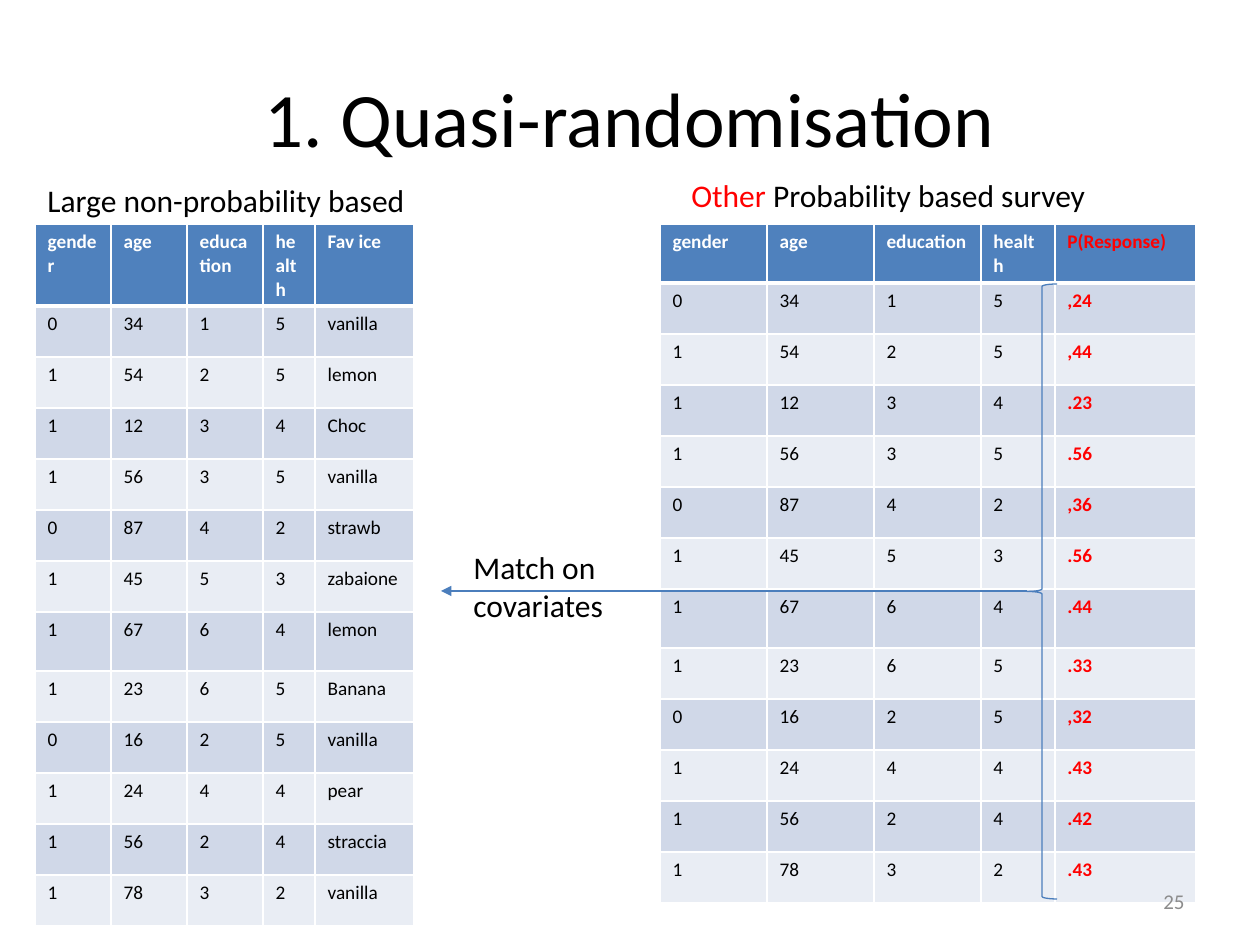
from lxml import etree
from pptx import Presentation
from pptx.dml.color import RGBColor
from pptx.enum.shapes import MSO_CONNECTOR, MSO_SHAPE
from pptx.enum.text import MSO_ANCHOR, PP_ALIGN
from pptx.oxml.ns import qn
from pptx.util import Emu, Pt

TOP, MIDDLE = MSO_ANCHOR.TOP, MSO_ANCHOR.MIDDLE
LEFT, CENTER, RIGHT = PP_ALIGN.LEFT, PP_ALIGN.CENTER, PP_ALIGN.RIGHT
STRAIGHT, LEFT_BRACE = MSO_CONNECTOR.STRAIGHT, MSO_SHAPE.LEFT_BRACE

BLACK = RGBColor(0x00, 0x00, 0x00)
WHITE = RGBColor(0xFF, 0xFF, 0xFF)
RED = RGBColor(0xFF, 0x00, 0x00)
GREY = RGBColor(0x8C, 0x8C, 0x8C)
HEADER = RGBColor(0x4F, 0x81, 0xBD)
BANDS = (RGBColor(0xD0, 0xD8, 0xE8), RGBColor(0xE9, 0xED, 0xF4))
LINE = RGBColor(0x4B, 0x7E, 0xBC)

FONT = "Calibri"
EMU_PER_PX = 914400 // 126
ROW_H, TALL_ROW_H, TALL_ROW = 51, 59, 7

# Both tables share the covariates; only the last column differs
COVARIATES = ["gender", "age", "education", "health"]
RECORDS = [
    (0, 34, 1, 5), (1, 54, 2, 5), (1, 12, 3, 4), (1, 56, 3, 5),
    (0, 87, 4, 2), (1, 45, 5, 3), (1, 67, 6, 4), (1, 23, 6, 5),
    (0, 16, 2, 5), (1, 24, 4, 4), (1, 56, 2, 4), (1, 78, 3, 2),
]
FLAVOURS = ["vanilla", "lemon", "Choc", "vanilla", "strawb", "zabaione",
            "lemon", "Banana", "vanilla", "pear", "straccia", "vanilla"]
RESPONSES = [",24", ",44", ".23", ".56", ",36", ".56",
             ".44", ".33", ",32", ".43", ".42", ".43"]


def px(n):
    return Emu(n * EMU_PER_PX)


def add_run(p, text, size, color, bold=False):
    r = p.add_run()
    r.text = text
    r.font.name = FONT
    r.font.size = Pt(size)
    r.font.bold = bold
    r.font.color.rgb = color


def add_text(s, box, runs, size, align=LEFT, anchor=TOP):
    tf = s.shapes.add_textbox(*map(px, box)).text_frame
    tf.word_wrap = True
    tf.vertical_anchor = anchor
    p = tf.paragraphs[0]
    p.alignment = align
    for text, color in runs:
        add_run(p, text, size, color)


def set_borders(cell, bottom):
    tc_pr = cell._tc.get_or_add_tcPr()
    for tag, width in (("a:lnL", 1), ("a:lnR", 1), ("a:lnT", 1), ("a:lnB", bottom)):
        ln = etree.SubElement(tc_pr, qn(tag), w=str(Pt(width)))
        fill = etree.SubElement(ln, qn("a:solidFill"))
        etree.SubElement(fill, qn("a:srgbClr"), val=str(WHITE))


def add_survey(s, x, y, widths, heading, values, highlight=False):
    rows = [COVARIATES + [heading]]
    rows += [[*record, value] for record, value in zip(RECORDS, values)]
    heights = [TALL_ROW_H if i == TALL_ROW else ROW_H for i in range(len(rows))]
    table = s.shapes.add_table(len(rows), len(widths), px(x), px(y),
                               px(sum(widths)), px(sum(heights))).table
    table.horz_banding = False
    for column, width in zip(table.columns, widths):
        column.width = px(width)
    for i, row in enumerate(rows):
        table.rows[i].height = px(heights[i])
        is_header = i == 0
        for j, value in enumerate(row):
            cell = table.cell(i, j)
            marked = highlight and j == len(row) - 1
            set_borders(cell, 3 if is_header else 1)
            cell.fill.solid()
            cell.fill.fore_color.rgb = HEADER if is_header else BANDS[(i - 1) % 2]
            color = RED if marked else WHITE if is_header else BLACK
            add_run(cell.text_frame.paragraphs[0], str(value), 11, color,
                    is_header or marked)


def add_arrow(s, x1, y1, x2, y2):
    c = s.shapes.add_connector(STRAIGHT, px(x1), px(y1), px(x2), px(y2))
    c.line.color.rgb = LINE
    c.line.width = Pt(0.75)
    etree.SubElement(c.line._get_or_add_ln(), qn("a:tailEnd"), type="triangle")
    etree.SubElement(c._element.spPr, qn("a:effectLst"))


def add_brace(s, box):
    sp = s.shapes.add_shape(LEFT_BRACE, *map(px, box))
    sp.shadow.inherit = False
    sp.fill.background()
    sp.line.color.rgb = LINE
    sp.line.width = Pt(0.75)


def main():
    prs = Presentation()
    prs.slide_width, prs.slide_height = px(1260), px(945)
    s = prs.slides.add_slide(prs.slide_layouts[6])

    # Title
    add_text(s, (63, 38, 1134, 157), [("1. Quasi-randomisation", BLACK)], 44,
             CENTER, MIDDLE)

    # Non-probability survey
    add_survey(s, 35, 224, (76, 76, 76, 52, 99), "Fav ice", FLAVOURS)
    add_text(s, (35, 175, 387, 50), [("Large non-probability based", BLACK)], 18)

    # Probability survey
    add_survey(s, 660, 224, (107, 107, 107, 74, 141), "P(Response)", RESPONSES,
               highlight=True)
    add_text(s, (679, 170, 566, 50),
             [("Other ", RED), ("Probability based survey", BLACK)], 18)

    # Matching arrow and brace
    add_arrow(s, 1027, 591, 441, 591)
    add_brace(s, (1027, 284, 30, 615))

    # Slide number and matching label
    add_text(s, (903, 876, 294, 50), [("25", GREY)], 12, RIGHT, MIDDLE)
    add_text(s, (461, 542, 169, 89), [("Match on covariates", BLACK)], 18)

    prs.save("out.pptx")


main()
